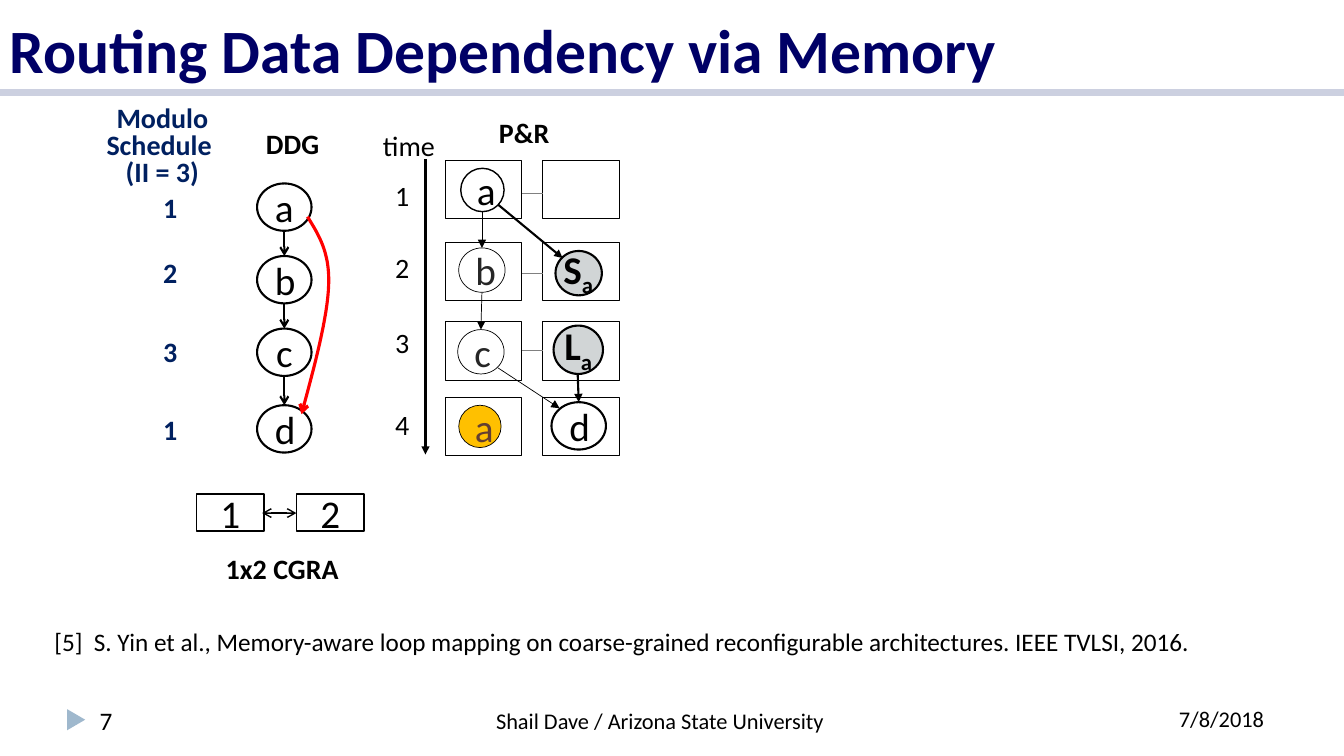
"""Builds the slide on routing a data dependency through memory."""
from lxml import etree
from pptx import Presentation
from pptx.dml.color import RGBColor
from pptx.enum.shapes import MSO_CONNECTOR, MSO_SHAPE
from pptx.enum.text import MSO_ANCHOR, MSO_AUTO_SIZE, PP_ALIGN
from pptx.oxml.ns import qn
from pptx.util import Inches, Pt

STRAIGHT = MSO_CONNECTOR.STRAIGHT
RECT, OVAL, TRIANGLE = MSO_SHAPE.RECTANGLE, MSO_SHAPE.OVAL, MSO_SHAPE.ISOSCELES_TRIANGLE
MIDDLE, BOTTOM, TOP = MSO_ANCHOR.MIDDLE, MSO_ANCHOR.BOTTOM, MSO_ANCHOR.TOP
LEFT, CENTER = PP_ALIGN.LEFT, PP_ALIGN.CENTER
GROW = MSO_AUTO_SIZE.SHAPE_TO_FIT_TEXT

THEME = {
    "font": "Calibri",
    "title": 44, "node": 28, "label": 20, "body": 18, "footer": 16,
    "black": "000000", "white": "FFFFFF", "navy": "000066", "schedule": "002060",
    "rule": "CCD0E0", "marker": "9FB8CD", "link": "808080", "dark": "262626",
    "memory": "D1D5D6", "next": "FFC000", "next text": "633F32", "routed": "FF0000",
    "thin": 0.5, "medium": 1, "thick": 1.5, "bold": 2.25, "wide": 5,
}

TITLE = "Routing Data Dependency via Memory"
CITATION = ("[5]  S. Yin et al., Memory-aware loop mapping on coarse-grained "
            "reconfigurable architectures. IEEE TVLSI, 2016.")
PAGE, FOOTER, DATE = "7", "Shail Dave / Arizona State University", "7/8/2018"

HEADINGS = [
    ("DDG", (2.54, 1.21, 0.73, 0.44), True),
    ("1x2 CGRA", (2.14, 5.42, 1.33, 0.44), True),
    ("time", (3.7, 1.23, 0.73, 0.44), False),
    ("P&R", (4.85, 1.1, 0.71, 0.44), True),
]
SCHEDULE_HEADING = "Modulo\vSchedule \v(II = 3)"
SCHEDULE = [("1", 1.84), ("2", 2.49), ("3", 3.27), ("1", 4.04)]
TIME_STEPS = [("1", 1.72), ("2", 2.44), ("3", 3.18), ("4", 3.99)]
ELEMENTS = [("1", 1.95), ("2", 2.94)]

DDG_NODES = [("a", 1.82), ("b", 2.54), ("c", 3.26), ("d", 4.02)]
DDG_CENTER, NODE_WIDTH, NODE_HEIGHT = 2.82, 0.54, 0.47
DEPENDENCY = [(3.05, 2.15), (3.16, 2.33), (3.27, 2.5), (3.26, 2.82),
              (3.25, 3.15), (3.12, 3.63), (2.99, 4.11)]

CELL_COLUMNS = [(4.42, 0.75), (5.38, 0.76)]
CELL_ROWS, CELL_HEIGHT = [1.59, 2.4, 3.19, 3.94], 0.58
LINKED_ROWS = [1.92, 2.71, 3.48]
PLACED_NODES = [
    ("a", (4.57, 1.67, 0.43, 0.43), "white", "black", "medium"),
    ("b", (4.55, 2.46, 0.46, 0.44), "white", "dark", "thin"),
    ("c", (4.54, 3.27, 0.46, 0.44), "white", "dark", "thin"),
    ("a", (4.55, 4.02, 0.42, 0.42), "next", "next text", "thin"),
    ("d", (5.47, 3.99, 0.54, 0.47), "white", "black", "thick"),
]
MEMORY_NODES = [
    ("S", "a", (5.51, 2.49, 0.46, 0.44), (5.49, 2.38, 0.52, 0.57)),
    ("L", "a", (5.49, 3.23, 0.49, 0.48), (5.5, 3.14, 0.5, 0.57)),
]
ROUTES = [
    ((4.22, 1.58), (4.22, 4.51), "thick"),
    ((4.78, 2.1), (4.78, 2.46), "thin"),
    ((4.78, 2.9), (4.77, 3.27), "thin"),
    ((4.94, 2.03), (5.58, 2.56), "thick"),
    ((5.73, 3.72), (5.74, 3.99), "thick"),
    ((4.94, 3.65), (5.55, 4.05), "thin"),
]

deck = Presentation()
deck.slide_width, deck.slide_height = Inches(13.33), Inches(7.5)
shapes = deck.slides.add_slide(deck.slide_layouts[6]).shapes


def color(name):
    return RGBColor.from_string(THEME[name])


def style_text(paragraph, size, ink, bold=False, align=LEFT):
    paragraph.alignment = align
    paragraph.font.name = THEME["font"]
    paragraph.font.size = Pt(THEME[size])
    paragraph.font.bold = bold
    paragraph.font.color.rgb = color(ink)


def add_text(text, box, size, ink="black", bold=False, align=LEFT, wrap=False, anchor=TOP):
    frame = shapes.add_textbox(*map(Inches, box)).text_frame
    frame.word_wrap, frame.vertical_anchor = wrap, anchor
    if not wrap:
        frame.auto_size = GROW
    paragraph = frame.paragraphs[0]
    paragraph.text = text
    style_text(paragraph, size, ink, bold, align)
    return paragraph


def style_line(line, ink, width, tail=None, head=None):
    line.color.rgb = color(ink)
    line.width = Pt(THEME[width])
    for tag, arrowhead in (("a:headEnd", head), ("a:tailEnd", tail)):
        if arrowhead:
            etree.SubElement(line._get_or_add_ln(), qn(tag), type=arrowhead)


def add_outline(kind, box, fill="white", width="thin", text="", ink="black"):
    outline = shapes.add_shape(kind, *map(Inches, box))
    outline.shadow.inherit = False
    outline.fill.solid()
    outline.fill.fore_color.rgb = color(fill)
    style_line(outline.line, "black", width)
    if text:
        outline.text_frame.vertical_anchor = MIDDLE
        paragraph = outline.text_frame.paragraphs[0]
        paragraph.text = text
        style_text(paragraph, "node", ink, align=CENTER)
    return outline


def connect(start, end, width, ink="black", tail=None, head=None):
    connector = shapes.add_connector(STRAIGHT, *map(Inches, start + end))
    style_line(connector.line, ink, width, tail, head)
    etree.SubElement(connector._element.spPr, qn("a:effectLst"))


def bezier(p0, p1, p2, p3, steps=16):
    for step in range(1, steps + 1):
        t = step / steps
        u = 1 - t
        yield tuple(Inches(u**3 * a + 3 * u * u * t * b + 3 * u * t * t * c + t**3 * d)
                    for a, b, c, d in zip(p0, p1, p2, p3))


def add_curve(points, ink, width):
    builder = shapes.build_freeform(*map(Inches, points[0]))
    builder.add_line_segments([*bezier(*points[:4]), *bezier(*points[3:])], close=False)
    curve = builder.convert_to_shape()
    curve.shadow.inherit = False
    curve.fill.background()
    style_line(curve.line, ink, width, tail="arrow")


connect((0, 0.92), (13.33, 0.92), "wide", "rule")
marker = add_outline(TRIANGLE, (0.65, 7.05, 0.21, 0.18), "marker")
marker.rotation = 90
marker.line.fill.background()
add_text(FOOTER, (4.8, 6.97, 3.49, 0.37), "footer", align=CENTER)
add_text(TITLE, (0, 0, 13.33, 0.9), "title", "navy", True, wrap=True, anchor=BOTTOM)
add_text(CITATION, (0.44, 6.16, 12.45, 0.4), "body", wrap=True)
add_text(PAGE, (0.89, 6.95, 1.88, 0.4), "body", wrap=True)
add_text(DATE, (11.4, 6.95, 1.43, 0.4), "footer", align=CENTER, wrap=True)

for heading, box, bold in HEADINGS:
    add_text(heading, box, "label", bold=bold)
add_text(SCHEDULE_HEADING, (0.95, 1.01, 1.32, 0.91), "label", "schedule", True,
         CENTER).line_spacing = 0.8
for slot, top in SCHEDULE:
    add_text(slot, (1.52, top, 0.34, 0.44), "label", "schedule", True)
for step, top in TIME_STEPS:
    add_text(step, (3.82, top, 0.34, 0.44), "label")

for element, left in ELEMENTS:
    add_outline(RECT, (left, 4.9, 0.67, 0.37), width="medium", text=element)
connect((2.6, 5.09), (2.94, 5.09), "medium", tail="arrow", head="arrow")

for node, top in DDG_NODES:
    add_outline(OVAL, (DDG_CENTER - NODE_WIDTH / 2, top, NODE_WIDTH, NODE_HEIGHT),
                width="thick", text=node)
for (_, top), (_, next_top) in zip(DDG_NODES, DDG_NODES[1:]):
    connect((DDG_CENTER, top + NODE_HEIGHT), (DDG_CENTER, next_top), "thick", tail="arrow")
add_curve(DEPENDENCY, "routed", "bold")

for top in CELL_ROWS:
    for left, width in CELL_COLUMNS:
        add_outline(RECT, (left, top, width, CELL_HEIGHT))
for y in LINKED_ROWS:
    connect((5.18, y), (5.39, y), "thin", "link")
for node, box, fill, ink, width in PLACED_NODES:
    add_outline(OVAL, box, fill, width, node, ink)
for operation, operand, oval_box, text_box in MEMORY_NODES:
    add_outline(OVAL, oval_box, "memory", "thick")
    subscript = add_text(operation, text_box, "node", bold=True).add_run()
    subscript.text = operand
    subscript.font._element.set("baseline", "-25000")
for start, end, width in ROUTES:
    connect(start, end, width, tail="triangle")

deck.save("out.pptx")
